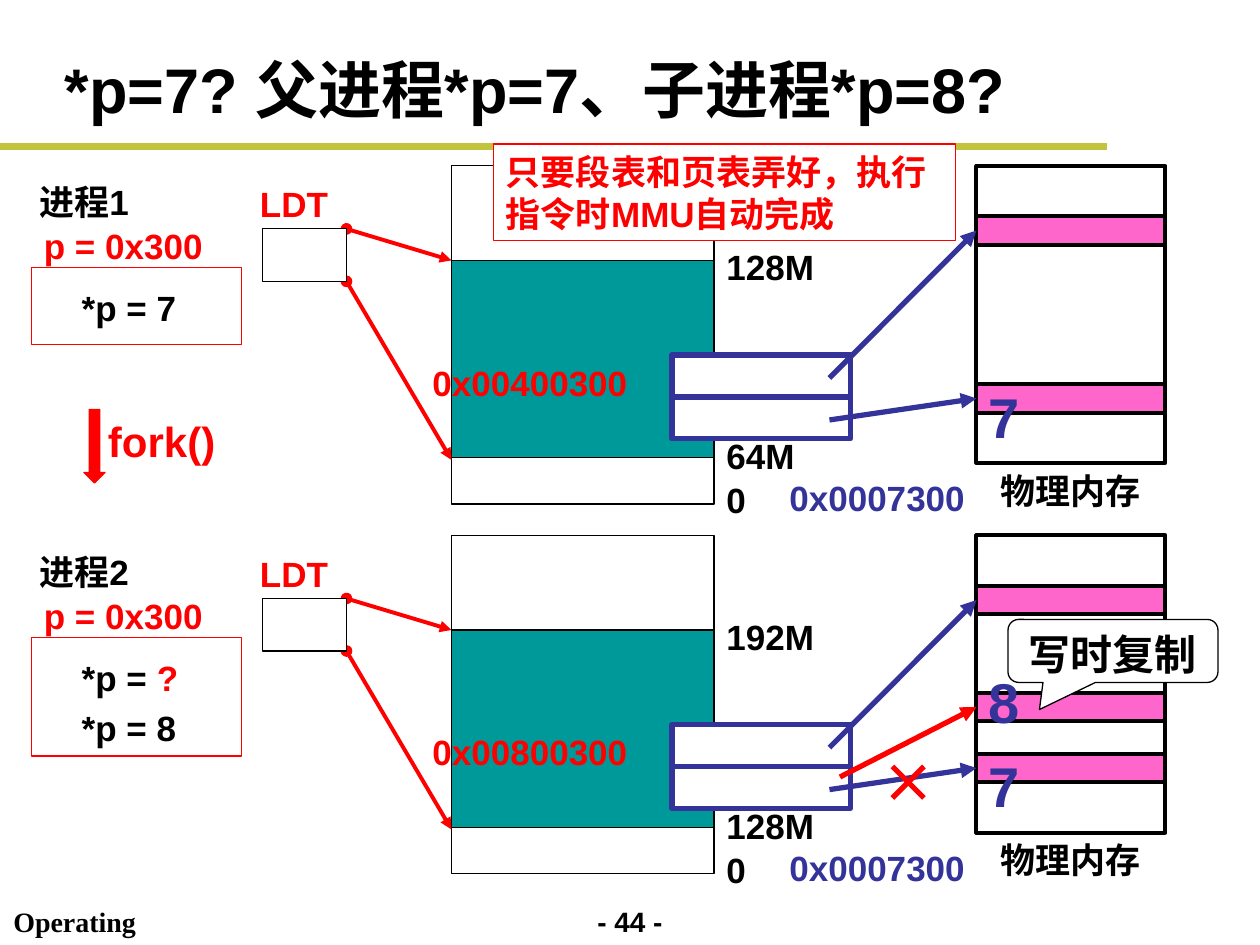
"""Build the slide on fork(), page tables and copy on write."""
from lxml.etree import SubElement
from pptx import Presentation
from pptx.dml.color import RGBColor
from pptx.enum.shapes import MSO_CONNECTOR, MSO_SHAPE
from pptx.enum.text import MSO_ANCHOR, PP_ALIGN
from pptx.oxml.ns import qn
from pptx.util import Inches, Pt

BLACK, WHITE, RED, BLUE = "000000", "FFFFFF", "FF0000", "333399"
TEAL, PINK, OLIVE = "009999", "FF66CC", "C1C43C"

presentation = Presentation()
presentation.slide_width = Inches(10)
presentation.slide_height = Inches(7.5)
slide = presentation.slides.add_slide(presentation.slide_layouts[6])
unit = presentation.slide_width / 120


def add_box(column, row, columns, rows, text="", fill=None, line=None, weight=0.75,
            kind=MSO_SHAPE.RECTANGLE, size=20, color=BLACK, font="Arial",
            align=PP_ALIGN.LEFT, anchor=MSO_ANCHOR.TOP, spacing=1.0, wrap=True):
    """Add a shape, or a text box if it has no outline; "|" starts a red run."""
    place = [round(length * unit) for length in (column, row, columns, rows)]
    if line:
        shape = slide.shapes.add_shape(kind, *place)
        shape.shadow.inherit = False
        shape.line.color.rgb = RGBColor.from_string(line)
        shape.line.width = Pt(weight)
        if fill:
            shape.fill.solid()
            shape.fill.fore_color.rgb = RGBColor.from_string(fill)
        else:
            shape.fill.background()
    else:
        shape = slide.shapes.add_textbox(*place)
    if text:
        frame = shape.text_frame
        frame.word_wrap = wrap
        frame.vertical_anchor = anchor
        for index, content in enumerate(text.split("\n")):
            paragraph = frame.add_paragraph() if index else frame.paragraphs[0]
            paragraph.alignment = align
            paragraph.line_spacing = spacing
            for part, shade in zip(content.split("|"), (color, RED)):
                run = paragraph.add_run()
                run.text = part
                run.font.color.rgb = RGBColor.from_string(shade)
                for name, value in {"name": font, "size": Pt(size), "bold": True}.items():
                    setattr(run.font, name, value)
    return shape


def add_line(start, end, color, weight, head=None, tail=None, target=None):
    """Add a straight line, joined to the left side of a target if given."""
    ends = [round(length * unit) for length in (*start, *end)]
    connector = slide.shapes.add_connector(MSO_CONNECTOR.STRAIGHT, *ends)
    if target:
        connector.end_connect(target, 1)
    connector.line.color.rgb = RGBColor.from_string(color)
    connector.line.width = Pt(weight)
    outline = connector.line._get_or_add_ln()
    for tag, style in {"a:headEnd": head, "a:tailEnd": tail}.items():
        if style:
            SubElement(outline, qn(tag), type=style)
    SubElement(connector._element.spPr, qn("a:effectLst"))


add_box(54, 85.6, 12, 4.4, "- 44 -", size=16, align=PP_ALIGN.CENTER)
add_box(0.1, 85.6, 22.8, 4.4, "Operating System", size=16, font="Times New Roman", wrap=False)
add_line((0, 14), (105.4, 14), OLIVE, 4)
add_box(5, 4, 108, 8.9, "*p=7? 父进程*p=7、子进程*p=8?", size=36, anchor=MSO_ANCHOR.MIDDLE)

processes = [
    (15.8, "进程1", "128M", "64M", "0x00400300", "*p = 7", 7.3),
    (51, "进程2", "192M", "128M", "0x00800300", "*p = |?\n*p = 8", 11.3),
]
for top, process, upper, lower, address, code, code_rows in processes:
    add_box(43, top, 25, 32.2, fill=WHITE, line=BLACK)
    add_box(43, top + 9, 25, 18.8, fill=TEAL, line=BLACK)
    add_line((33, top + 6), (43, top + 9), RED, 2.25, "oval", "triangle")
    add_line((33, top + 11), (43, top + 28), RED, 2.25, "oval", "triangle")
    add_box(25, top + 6, 8, 5, fill=WHITE, line=BLACK)
    add_box(93, top, 18, 28.3, line=BLACK, weight=2.25)
    pages = [add_box(93, top + offset, 18, 2.7, fill=PINK, line=BLACK, weight=2.25)
             for offset in (4.8, 20.8)]
    add_box(3, top + 9.7, 20, code_rows, fill=WHITE, line=RED)
    add_box(6.6, top + 10.1, 11.6, code_rows - 0.7, code, spacing=1.2)
    for offset, start, page in ((22, 24.2, pages[1]), (18, 20.2, pages[0])):
        add_box(64, top + offset, 17, 4, fill=WHITE, line=BLUE, weight=3)
        add_line((79, top + start), (93, top + start), BLUE, 3, tail="triangle", target=page)
    labels = [
        (0, 0.8, 16, process, BLACK, PP_ALIGN.CENTER),
        (20, 1, 16, "LDT", RED, PP_ALIGN.CENTER),
        (93, 28.3, 18, "物理内存", BLACK, PP_ALIGN.CENTER),
        (68, 7, 15, upper, BLACK, PP_ALIGN.LEFT),
        (68, 25, 12, lower, BLACK, PP_ALIGN.LEFT),
        (68, 29.2, 6, "0", BLACK, PP_ALIGN.LEFT),
        (3, 5, 25, "p = 0x300", RED, PP_ALIGN.LEFT),
        (40, 18, 26, address, RED, PP_ALIGN.LEFT),
        (74, 29, 26, "0x0007300", BLUE, PP_ALIGN.LEFT),
    ]
    for column, offset, columns, text, color, align in labels:
        add_box(column, top + offset, columns, 5.3, text, color=color, align=align)
    add_box(93, top + 20, 10, 7.7, "7", size=32, color=BLUE)

add_box(8, 39, 2, 7, fill=RED, line=RED, kind=MSO_SHAPE.DOWN_ARROW)
add_box(9.1, 39, 12.6, 6, "fork()", size=24, color=RED, wrap=False)

copied_page = add_box(93, 66, 18, 2.7, fill=PINK, line=BLACK, weight=2.25)
add_line((80, 74), (93, 67), RED, 3, tail="triangle", target=copied_page)
add_box(93, 63, 10, 7.7, "8", size=32, color=BLUE)
callout = add_box(96, 59, 20, 6, "写时复制", fill=WHITE, line=BLACK, size=24,
                  kind=MSO_SHAPE.ROUNDED_RECTANGULAR_CALLOUT, align=PP_ALIGN.CENTER)
for index, adjustment in enumerate((-0.35, 0.93, 0.17)):
    callout.adjustments[index] = adjustment
for left, right in ((85, 88), (88, 85)):
    add_line((left, 76), (right, 73), RED, 3)
add_box(47, 13.7, 44, 9.2, "只要段表和页表弄好，执行指令时MMU自动完成",
        fill=WHITE, line=RED, color=RED)

presentation.save("out.pptx")
